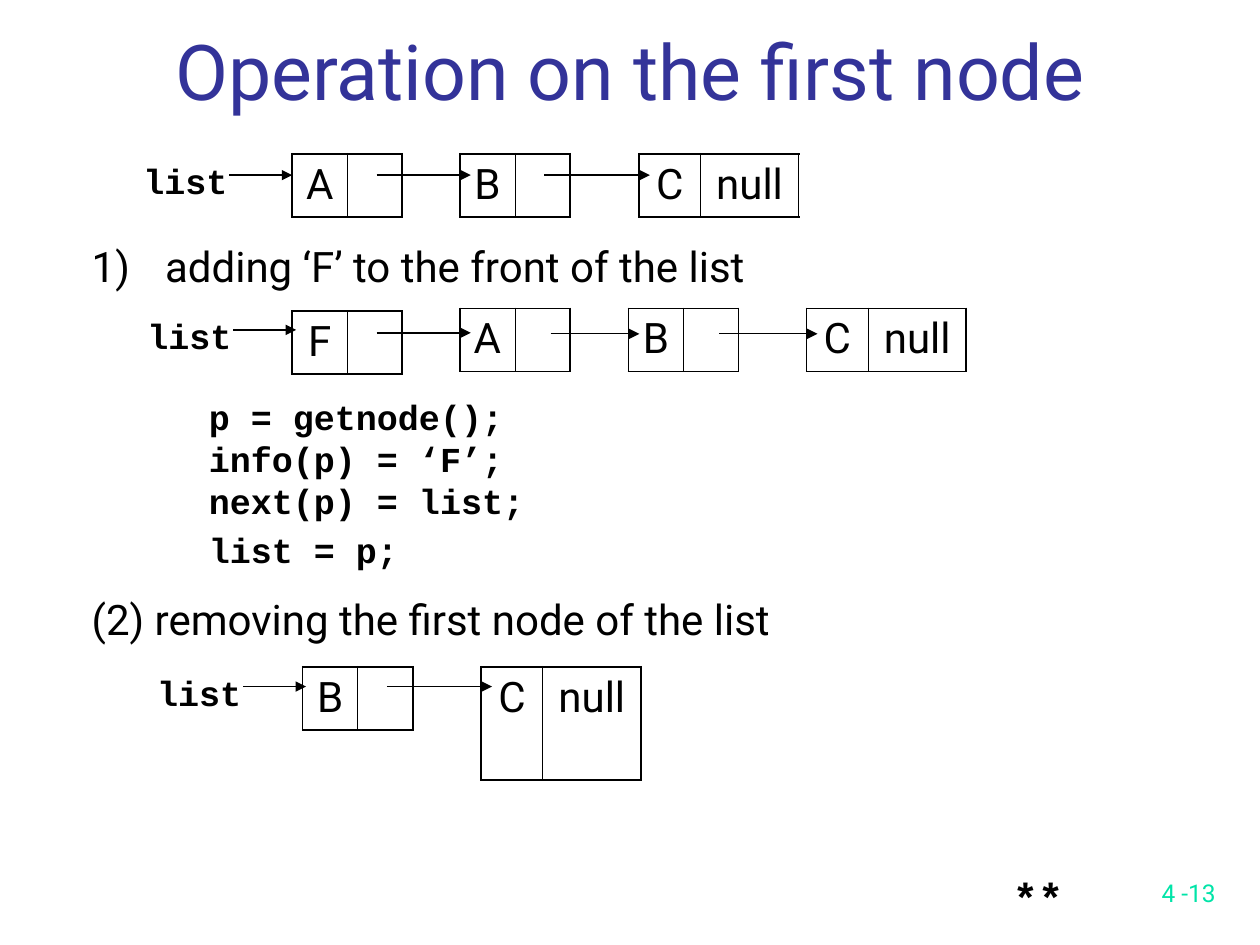
from lxml import etree
from pptx import Presentation
from pptx.dml.color import RGBColor
from pptx.enum.shapes import MSO_CONNECTOR
from pptx.enum.text import MSO_ANCHOR, PP_ALIGN
from pptx.oxml.ns import qn
from pptx.util import Cm, Pt

STRAIGHT = MSO_CONNECTOR.STRAIGHT
TOP, BOTTOM = MSO_ANCHOR.TOP, MSO_ANCHOR.BOTTOM
LEFT, CENTER, RIGHT = PP_ALIGN.LEFT, PP_ALIGN.CENTER, PP_ALIGN.RIGHT

COLORS = {"title": "333399", "text": "000000", "page": "00E4A8"}
SANS, MONO = "Roboto", "Courier New"

# Content; lengths in cm
TITLE = "Operation on the first node"
ADDING = "adding ‘F’ to the front of the list"
REMOVING = "(2) removing the first node of the list"
CODE = ["p = getnode();", "info(p) = ‘F’;", "next(p) = list;", "list = p;"]
MARK = "**"
PAGE = "4 -13"

# Each linked list: label position, nodes (info, next, left, top, height),
# and arrows: height of each, and where in its node each pointer starts
LINKED_LISTS = [
    {"label": (2.64, 3.1),
     "nodes": [("A", "", 5.89, 3.1, 1.27), ("B", "", 9.27, 3.1, 1.27),
               ("C", "null", 12.88, 3.1, 1.27)],
     "arrow_tops": [3.53, 3.53, 3.53], "pointer_starts": [1.7, 1.7]},
    {"label": (2.72, 6.22),
     "nodes": [("F", "", 5.89, 6.27, 1.27), ("A", "", 9.27, 6.22, 1.27),
               ("B", "", 12.67, 6.22, 1.27), ("C", "null", 16.26, 6.22, 1.27)],
     "arrow_tops": [6.65, 6.71, 6.73, 6.73], "pointer_starts": [1.7, 1.83, 1.83]},
    {"label": (2.92, 13.41),
     "nodes": [("B", "", 6.1, 13.44, 1.27), ("C", "null", 9.7, 13.44, 2.29)],
     "arrow_tops": [13.84, 13.84], "pointer_starts": [1.7]},
]
LINK_NODE, LAST_NODE = (1.11, 1.11), (1.24, 1.98)  # column widths
LABEL_END, LABEL_ARROW = 1.98, 1.27
POINTER_END = 0.22
OUTER, DIVIDER = 1.08, 0.45  # border widths in points


def add_run(paragraph, text, size, font, color="text", bold=False):
    run = paragraph.add_run()
    run.text = text
    run.font.size = Pt(size)
    run.font.name = font
    run.font.bold = bold
    run.font.color.rgb = RGBColor.from_string(COLORS[color])


def add_text(slide, box, lines, size, font, color="text", bold=False,
             align=LEFT, anchor=TOP):
    frame = slide.shapes.add_textbox(*map(Cm, box)).text_frame
    frame.word_wrap = True
    frame.vertical_anchor = anchor
    for i, line in enumerate(lines):
        paragraph = frame.add_paragraph() if i else frame.paragraphs[0]
        paragraph.alignment = align
        add_run(paragraph, line, size, font, color, bold)
    return frame


def set_borders(cell, left, right):
    widths = {"a:lnL": left, "a:lnR": right, "a:lnT": OUTER, "a:lnB": OUTER}
    properties = cell._tc.get_or_add_tcPr()
    for i, (side, width) in enumerate(widths.items()):
        border = etree.Element(qn(side), w=str(int(Pt(width))))
        fill = etree.SubElement(border, qn("a:solidFill"))
        etree.SubElement(fill, qn("a:srgbClr"), val=COLORS["text"])
        properties.insert(i, border)


def add_node(slide, info, following, left, top, height):
    columns = LAST_NODE if following else LINK_NODE
    table = slide.shapes.add_table(
        1, 2, Cm(left), Cm(top), Cm(sum(columns)), Cm(height)).table
    table.first_row = table.horz_banding = False
    borders = [(OUTER, DIVIDER), (DIVIDER, OUTER)]
    for i, text in enumerate((info, following)):
        table.columns[i].width = Cm(columns[i])
        cell = table.cell(0, i)
        cell.fill.background()
        set_borders(cell, *borders[i])
        if text:
            paragraph = cell.text_frame.paragraphs[0]
            paragraph.alignment = CENTER
            add_run(paragraph, text, 24, SANS)


def add_arrow(slide, start, end, top):
    arrow = slide.shapes.add_connector(
        STRAIGHT, Cm(start), Cm(top), Cm(end), Cm(top))
    arrow.line.color.rgb = RGBColor.from_string(COLORS["text"])
    arrow.line.width = Pt(0.75)
    etree.SubElement(arrow.line._get_or_add_ln(), qn("a:tailEnd"), type="triangle")
    etree.SubElement(arrow._element.spPr, qn("a:effectLst"))


def add_linked_list(slide, linked_list):
    left, top = linked_list["label"]
    add_text(slide, (left, top, 2.4, 1.12), ["list"], 20, MONO, bold=True)
    nodes = linked_list["nodes"]
    for node in nodes:
        add_node(slide, *node)
    label_top, *pointer_tops = linked_list["arrow_tops"]
    start = left + LABEL_END
    add_arrow(slide, start, start + LABEL_ARROW, label_top)
    for node, target, offset, arrow_top in zip(
            nodes, nodes[1:], linked_list["pointer_starts"], pointer_tops):
        add_arrow(slide, node[2] + offset, target[2] + POINTER_END, arrow_top)


def main():
    deck = Presentation()
    deck.slide_width, deck.slide_height = Cm(25.4), Cm(19.05)
    slide = deck.slides.add_slide(deck.slide_layouts[5])

    # Title
    title = slide.shapes.title
    title.left, title.top, title.width, title.height = map(
        Cm, (0.53, 0.33, 24.36, 2.13))
    title.text_frame.vertical_anchor = BOTTOM
    heading = title.text_frame.paragraphs[0]
    heading.alignment = CENTER
    add_run(heading, TITLE, 44, SANS, "title")

    # Linked lists
    for linked_list in LINKED_LISTS:
        add_linked_list(slide, linked_list)

    # Numbered operation with its code
    adding = add_text(slide, (1.6, 4.72, 14.63, 1.27), [ADDING], 24, SANS)
    properties = adding.paragraphs[0]._p.get_or_add_pPr()
    properties.set("marL", str(int(Cm(1.48))))
    properties.set("indent", str(-int(Cm(1.48))))
    etree.SubElement(properties, qn("a:buFont"), typeface=SANS)
    etree.SubElement(properties, qn("a:buAutoNum"), type="arabicParenR")
    code = add_text(slide, (3.96, 7.85, 17.53, 3.81), CODE, 20, MONO, bold=True)
    code.paragraphs[-1].space_before = Pt(4)

    # Second operation
    add_text(slide, (1.6, 11.84, 15.04, 1.27), [REMOVING], 24, SANS)

    # Footer
    add_text(slide, (20.17, 17.45, 1.8, 1.27), [MARK], 24, MONO, bold=True)
    add_text(slide, (19.48, 17.15, 5.28, 1.27), [PAGE], 14, SANS, "page",
             align=RIGHT, anchor=BOTTOM)

    deck.save("out.pptx")


if __name__ == "__main__":
    main()
